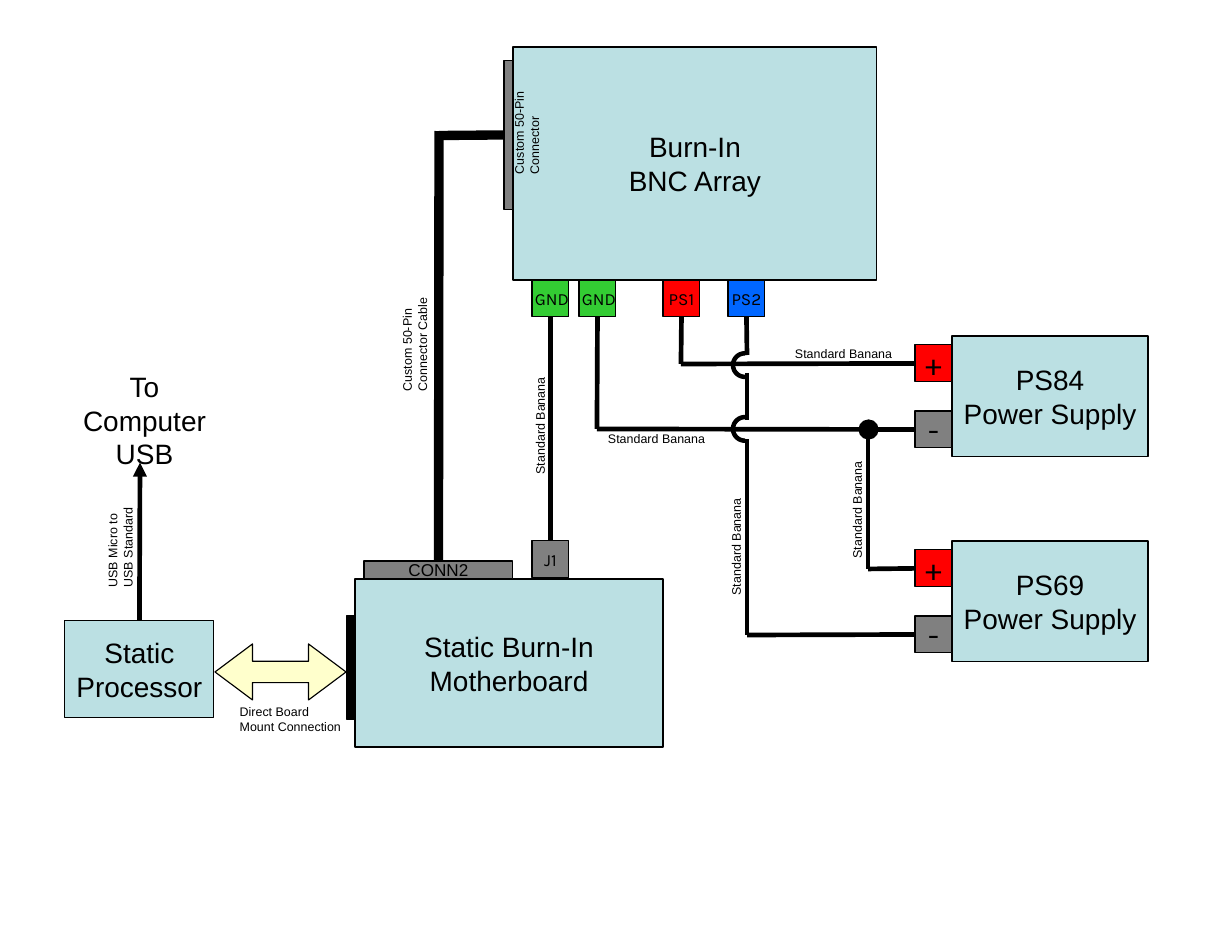
import math
from dataclasses import dataclass

from pptx import Presentation
from pptx import util as u
from pptx.dml.color import RGBColor
from pptx.enum import shapes, text
from pptx.oxml.ns import qn
from lxml import etree

COLORS = {"black": "000000", "board": "BBE0E3", "gray": "808080", "red": "FF0000",
          "green": "33CC33", "blue": "0066FF", "mount": "FFFFCC"}
TOP, LEFT, BOTTOM = 0, 1, 2
PORT = 0.33
LEFT_ALIGN, CENTER, RIGHT = text.PP_ALIGN.LEFT, text.PP_ALIGN.CENTER, text.PP_ALIGN.RIGHT


@dataclass
class Diagram:
    slide: object
    font: str = "Arial"
    port_font: str = "Karla"
    outline: float = 0.75
    wire_width: float = 3

    def color(self, name):
        return RGBColor.from_string(COLORS[name])

    def paint(self, shape, fill):
        shape.shadow.inherit = False
        shape.fill.solid()
        shape.fill.fore_color.rgb = self.color(fill)
        shape.line.color.rgb = self.color("black")
        shape.line.width = u.Pt(self.outline)

    def add_lines(self, shape, lines, size, font=None, align=CENTER, inset=(0.1, 0.05),
                  wrap=False, middle=True, before=0, spacing=None):
        frame = shape.text_frame
        frame.word_wrap = wrap
        frame.margin_left = frame.margin_right = u.Inches(inset[0])
        frame.margin_top = frame.margin_bottom = u.Inches(inset[1])
        frame.vertical_anchor = text.MSO_ANCHOR.MIDDLE if middle else text.MSO_ANCHOR.TOP
        for index, line in enumerate(lines):
            paragraph = frame.add_paragraph() if index else frame.paragraphs[0]
            paragraph.alignment = align
            paragraph.space_before = u.Pt(before)
            if spacing:
                paragraph.line_spacing = spacing
            run = paragraph.add_run()
            run.text = line
            run.font.name = font or self.font
            run.font.size = u.Pt(size)
            run.font.color.rgb = self.color("black")

    def box(self, left, top, width, height, fill, lines=(), size=18,
            kind=shapes.MSO_SHAPE.RECTANGLE, **style):
        shape = self.slide.shapes.add_shape(kind, *map(u.Inches, (left, top, width, height)))
        self.paint(shape, fill)
        if lines:
            self.add_lines(shape, lines, size, **style)
        return shape

    def port(self, left, top, fill, label, size=11, align=CENTER):
        return self.box(left, top, PORT, PORT, fill, [label], size,
                        font=self.port_font, align=align, inset=(0, 0))

    def wire(self, points, start=None, end=None, width=None, arrow=False):
        """Straight segments through the points, joined to (shape, site) ends."""
        segments = []
        for first, second in zip(points, points[1:]):
            segment = self.slide.shapes.add_connector(
                shapes.MSO_CONNECTOR.STRAIGHT, *map(u.Inches, first + second))
            segment.line.color.rgb = self.color("black")
            segment.line.width = u.Pt(width or self.wire_width)
            segments.append(segment)
        if start:
            segments[0].begin_connect(*start)
        if end:
            segments[-1].end_connect(*end)
        for segment in segments:
            properties = segment._element.spPr
            if arrow and segment is segments[-1]:
                etree.SubElement(properties.find(qn("a:ln")), qn("a:tailEnd"), type="triangle")
            etree.SubElement(properties, qn("a:effectLst"))

    def hop(self, x, y, outer=0.12, inner=0.09, steps=24):
        """Half ring where one wire jumps over another."""
        angles = [math.pi * (0.5 + step / steps) for step in range(steps + 1)]
        ring = [(outer, angle) for angle in angles] + [(inner, angle) for angle in angles[::-1]]
        points = [(u.Inches(x + radius * math.cos(angle)), u.Inches(y + radius * math.sin(angle)))
                  for radius, angle in ring]
        builder = self.slide.shapes.build_freeform(*points[0])
        builder.add_line_segments(points[1:], close=True)
        self.paint(builder.convert_to_shape(), "black")

    def label(self, left, top, width, height, lines, size=8, rotation=0, **style):
        shape = self.slide.shapes.add_textbox(*map(u.Inches, (left, top, width, height)))
        shape.rotation = rotation
        self.add_lines(shape, lines, size, **style)

    def cable_label(self, left, top, lines, rotation=0):
        single = len(lines) == 1
        self.label(left, top, 1.33, 0.24 if single else 0.2, lines, rotation=rotation,
                   align=LEFT_ALIGN, wrap=True, middle=False, before=5,
                   inset=(0.1, 0.05) if single else (0, 0), spacing=None if single else 0.5)


def main():
    presentation = Presentation()
    presentation.slide_width, presentation.slide_height = u.Inches(11), u.Inches(8.5)
    diagram = Diagram(presentation.slides.add_slide(presentation.slide_layouts[6]))

    # BNC array and its ports
    array_connector = diagram.box(4.5, 0.54, 0.08, 1.33, "gray")
    diagram.box(4.58, 0.42, 3.25, 2.08, "board", ["Burn-In", "BNC Array"])
    ground_board = diagram.port(4.75, 2.5, "green", "GND", align=RIGHT)
    ground_supply = diagram.port(5.17, 2.5, "green", "GND", align=RIGHT)
    ps1 = diagram.port(5.92, 2.5, "red", "PS1")
    ps2 = diagram.port(6.5, 2.5, "blue", "PS2")

    # Power supplies
    terminals = []
    for name, top in (("PS84", 3), ("PS69", 4.83)):
        diagram.box(8.5, top, 1.75, 1.08, "board", [name, "Power Supply"])
        plus = diagram.port(8.17, top + 0.08, "red", "+", 20)
        minus = diagram.port(8.17, top + 0.67, "gray", "-", 20)
        terminals.append((plus, minus))
    (plus_84, minus_84), (plus_69, minus_69) = terminals

    # Motherboard and controller board
    diagram.box(3.17, 5.17, 2.75, 1.5, "board", ["Static Burn-In", "Motherboard"])
    diagram.box(3.09, 5.5, 0.08, 0.92, "black")
    conn2 = diagram.box(3.25, 5.01, 1.33, 0.16, "gray", ["CONN2"], 11, wrap=True)
    j1 = diagram.port(4.75, 4.83, "gray", "J1")
    controller = diagram.box(0.58, 5.54, 1.33, 0.87, "board", ["Static", "Processor"],
                             inset=(0.05, 0.1))
    mount = diagram.box(1.92, 5.75, 1.17, 0.5, "mount",
                        kind=shapes.MSO_SHAPE.LEFT_RIGHT_ARROW)
    mount.adjustments[0], mount.adjustments[1] = 0.38, 0.67

    # Banana wires
    diagram.wire([(6.08, 2.83), (6.08, 3.25), (8.17, 3.25)], (ps1, BOTTOM), (plus_84, LEFT))
    diagram.wire([(5.33, 2.83), (5.33, 3.83), (8.17, 3.83)],
                 (ground_supply, BOTTOM), (minus_84, LEFT))
    diagram.wire([(6.67, 2.83), (6.67, 3.17)], (ps2, BOTTOM))
    diagram.wire([(6.67, 3.33), (6.67, 3.75)])
    diagram.wire([(6.67, 3.92), (6.67, 5.67), (8.17, 5.67)], end=(minus_69, LEFT))
    for y in (3.26, 3.83):
        diagram.hop(6.65, y)
    diagram.wire([(7.75, 3.83), (7.75, 5.08), (8.17, 5.08)], end=(plus_69, LEFT))
    diagram.box(7.67, 3.75, 0.17, 0.17, "black", kind=shapes.MSO_SHAPE.OVAL)
    diagram.wire([(4.92, 4.83), (4.92, 2.83)], (j1, TOP), (ground_board, BOTTOM))

    # 50-pin cable and USB lead
    diagram.wire([(3.91, 5.01), (3.92, 1.17)], (conn2, TOP), width=6)
    diagram.wire([(3.92, 1.21), (4.5, 1.21)], end=(array_connector, LEFT), width=6)
    diagram.wire([(1.25, 5.54), (1.25, 4.13)], (controller, TOP), arrow=True)

    # Labels
    diagram.label(0.58, 3.46, 1.42, 0.58, ["To Computer", "USB"], 18)
    for left, top, rotation in ((5.33, 3.8, 0), (5.91, 4.63, 270), (7, 3.04, 0),
                                (6.99, 4.3, 270), (4.16, 3.55, 270)):
        diagram.cable_label(left, top, ["Standard Banana"], rotation)
    diagram.cable_label(0.43, 4.48, ["USB Micro to", "USB Standard"], 270)
    diagram.cable_label(3.06, 2.73, ["Custom 50-Pin", "Connector Cable"], 270)
    diagram.cable_label(2.14, 6.34, ["Direct Board", "Mount Connection"])
    diagram.cable_label(4.06, 0.79, ["Custom 50-Pin", "Connector"], 270)

    presentation.save("out.pptx")


if __name__ == "__main__":
    main()
